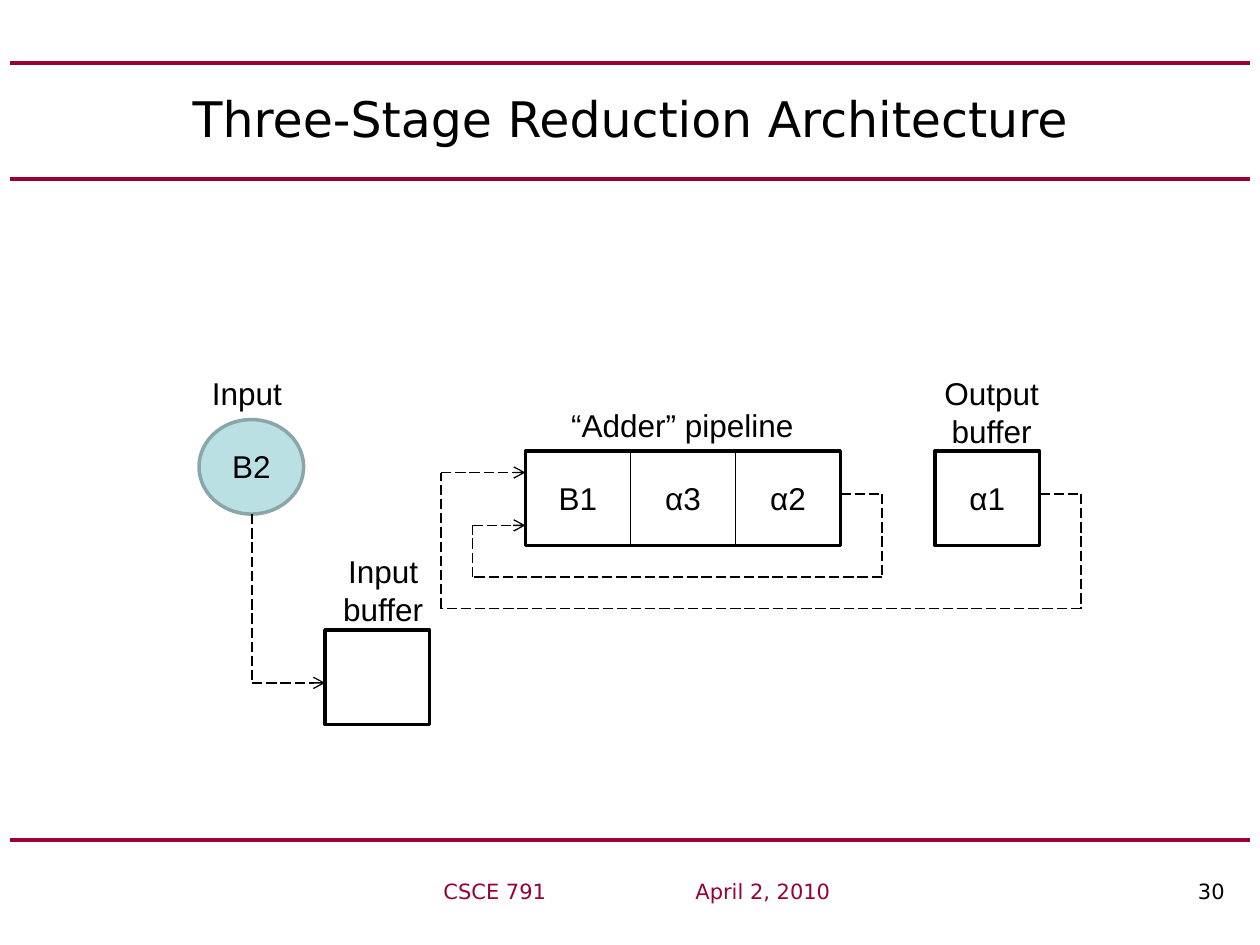
from itertools import pairwise

from lxml import etree
from pptx import Presentation
from pptx.dml.color import RGBColor
from pptx.enum.dml import MSO_LINE
from pptx.enum.shapes import MSO_CONNECTOR, MSO_SHAPE
from pptx.enum.text import MSO_ANCHOR, PP_ALIGN
from pptx.oxml.ns import qn
from pptx.util import Inches, Pt

STRAIGHT = MSO_CONNECTOR.STRAIGHT
RECT, OVAL = MSO_SHAPE.RECTANGLE, MSO_SHAPE.OVAL
LONG_DASH = MSO_LINE.LONG_DASH
CENTER, LEFT = PP_ALIGN.CENTER, PP_ALIGN.LEFT
MIDDLE = MSO_ANCHOR.MIDDLE

COLORS = {"black": "000000", "white": "FFFFFF", "garnet": "990033",
          "token": "BBE0E3", "token_edge": "8AA6A8"}
BODY, HEADING = "Arial", "DejaVu Sans"
CELL_W, CELL_H = 0.83, 0.75


def rgb(name):
    return RGBColor.from_string(COLORS[name])


def add_line(s, start, end, color="black", width=0.75, dashed=False, arrow=False):
    c = s.shapes.add_connector(STRAIGHT, *map(Inches, start + end))
    c.line.color.rgb = rgb(color)
    c.line.width = Pt(width)
    if dashed:
        c.line.dash_style = LONG_DASH
    if arrow:
        etree.SubElement(c.line._get_or_add_ln(), qn("a:tailEnd"), type="arrow")
    etree.SubElement(c._element.spPr, qn("a:effectLst"))


def add_route(s, points, arrow=True):
    """Dashed path through the points, with an arrowhead at its end."""
    for start, end in pairwise(points):
        add_line(s, start, end, dashed=True, arrow=arrow and end == points[-1])


def add_box(s, kind, x, y, w, h, fill="white", edge="black"):
    sp = s.shapes.add_shape(kind, *map(Inches, (x, y, w, h)))
    sp.shadow.inherit = False
    sp.fill.solid()
    sp.fill.fore_color.rgb = rgb(fill)
    sp.line.color.rgb = rgb(edge)
    sp.line.width = Pt(2)


def add_text(s, x, y, w, h, lines, size=18, font=BODY):
    tf = s.shapes.add_textbox(*map(Inches, (x, y, w, h))).text_frame
    tf.word_wrap = True
    for i, line in enumerate(lines):
        p = tf.paragraphs[0] if i == 0 else tf.add_paragraph()
        p.text = line
        p.alignment = CENTER
        p.font.size = Pt(size)
        p.font.name = font
        p.font.color.rgb = rgb("black")
    return tf


def add_caption(s, x, y, w, *lines):
    add_text(s, x, y, w, 0.4 if len(lines) == 1 else 0.71, lines)


def add_title(s, x, y, w, h):
    for rule_y in (y, y + 0.92):
        add_line(s, (0.08, rule_y), (9.92, rule_y), "garnet", 2.25)
    tf = add_text(s, x, y, w, h, ["Three-Stage Reduction Architecture"], 28, HEADING)
    tf.vertical_anchor = MIDDLE


def add_footer(s, x, y, w, h):
    add_line(s, (0.08, y - 0.25), (9.92, y - 0.25), "garnet", 2.25)
    tf = s.shapes.add_textbox(*map(Inches, (x, y, w, h))).text_frame
    tf.word_wrap = True
    tf.margin_left = Inches(0.69)
    p = tf.paragraphs[0]
    p.alignment = LEFT
    # Date on a left tab, slide number on a right tab
    tabs = etree.SubElement(p._p.get_or_add_pPr(), qn("a:tabLst"))
    for pos, align in ((2, "l"), (6.2, "r")):
        etree.SubElement(tabs, qn("a:tab"), pos=str(Inches(pos)), algn=align)
    p.font.size = Pt(12)
    p.font.name = HEADING
    for text, color in (("CSCE 791\tApril 2, 2010\t", "garnet"), ("30", "black")):
        r = p.add_run()
        r.text = text
        r.font.size = Pt(12)
        r.font.name = HEADING
        r.font.color.rgb = rgb(color)


def add_input(s, x, y):
    """Input token, wired down to the input buffer."""
    add_box(s, OVAL, x, y, CELL_W, CELL_H, "token", "token_edge")
    add_caption(s, x - 0.16, y - 0.41, 1.08, "Input")
    add_caption(s, x, y + 0.17, CELL_W, "B2")
    buffer_x, buffer_y = x + 1, y + 1.67
    add_box(s, RECT, buffer_x, buffer_y, CELL_W, CELL_H)
    add_caption(s, buffer_x - 0.08, buffer_y - 0.67, 1.08, "Input", "buffer")
    mid_x, wire_y = x + 0.42, buffer_y + 0.42
    add_route(s, [(mid_x, y + CELL_H), (mid_x, wire_y), (buffer_x, wire_y)])


def add_pipeline(s, x, y, stages):
    """Adder stages with the feedback from the last one to the lower input."""
    w = 2.5
    step = w / len(stages)
    add_box(s, RECT, x, y, w, CELL_H)
    add_caption(s, x - 0.09, y - 0.41, 2.67, "“Adder” pipeline")
    for i, stage in enumerate(stages):
        left = x + i * step
        if i:
            add_line(s, (left, y), (left, y + CELL_H))
        add_caption(s, left, y + 0.17, step, stage)
    right, out_y, low_y, in_y = x + w, y + 0.34, y + 1, y + 0.59
    add_route(s, [(right, out_y), (right + 0.33, out_y), (right + 0.33, low_y),
                  (x - 0.42, low_y), (x - 0.42, in_y), (x, in_y)])


def add_output(s, x, y, pipeline_x):
    """Output buffer with the feedback to the pipeline's upper input."""
    add_box(s, RECT, x, y, CELL_W, CELL_H)
    add_caption(s, x - 0.09, y - 0.66, 1.08, "Output", "buffer")
    add_caption(s, x, y + 0.17, CELL_W, "α1")
    right, out_y, low_y, in_y = x + CELL_W, y + 0.34, y + 1.25, y + 0.17
    turn_x = pipeline_x - 0.67
    add_route(s, [(right, out_y), (right + 0.33, out_y), (right + 0.33, low_y),
                  (turn_x, low_y), (turn_x, in_y), (pipeline_x, in_y)])


def main():
    prs = Presentation()
    prs.slide_width, prs.slide_height = Inches(10), Inches(7.5)
    s = prs.slides.add_slide(prs.slide_layouts[6])
    add_title(s, 0.5, 0.5, 9, 0.87)
    add_input(s, 1.58, 3.33)
    add_pipeline(s, 4.17, 3.58, ["B1", "α3", "α2"])
    add_output(s, 7.42, 3.58, 4.17)
    add_footer(s, 2.83, 6.92, 7, 0.33)
    prs.save("out.pptx")


if __name__ == "__main__":
    main()
